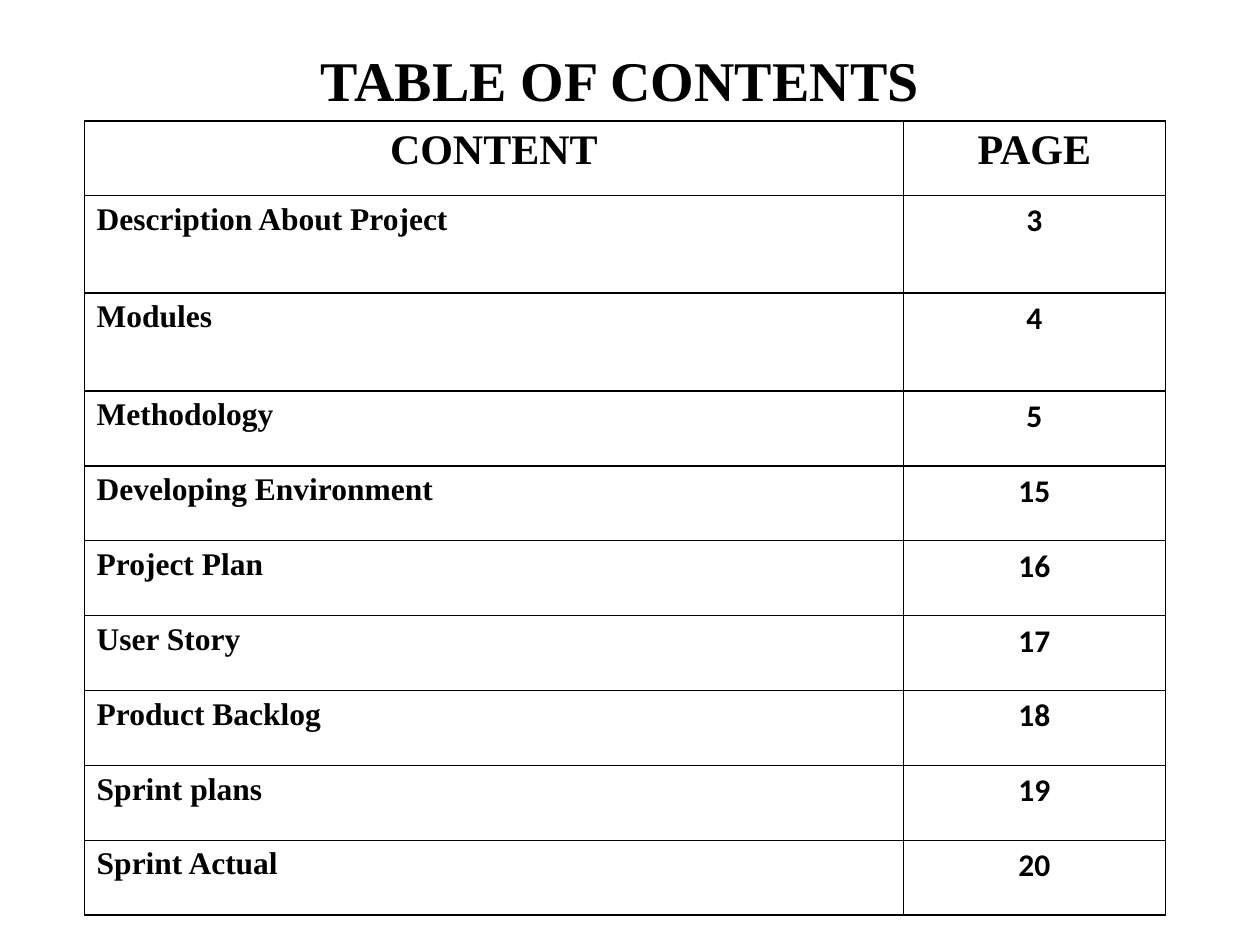
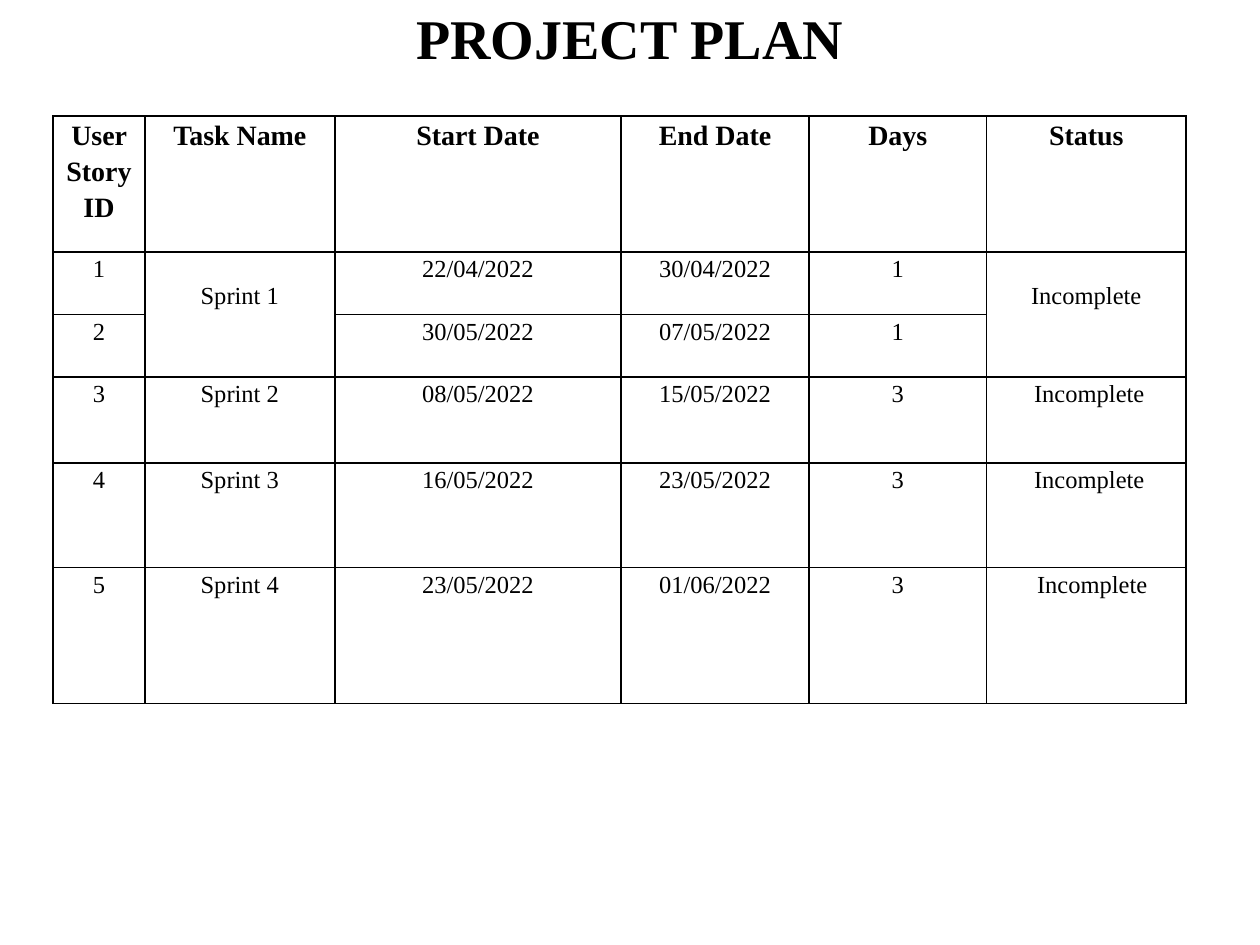
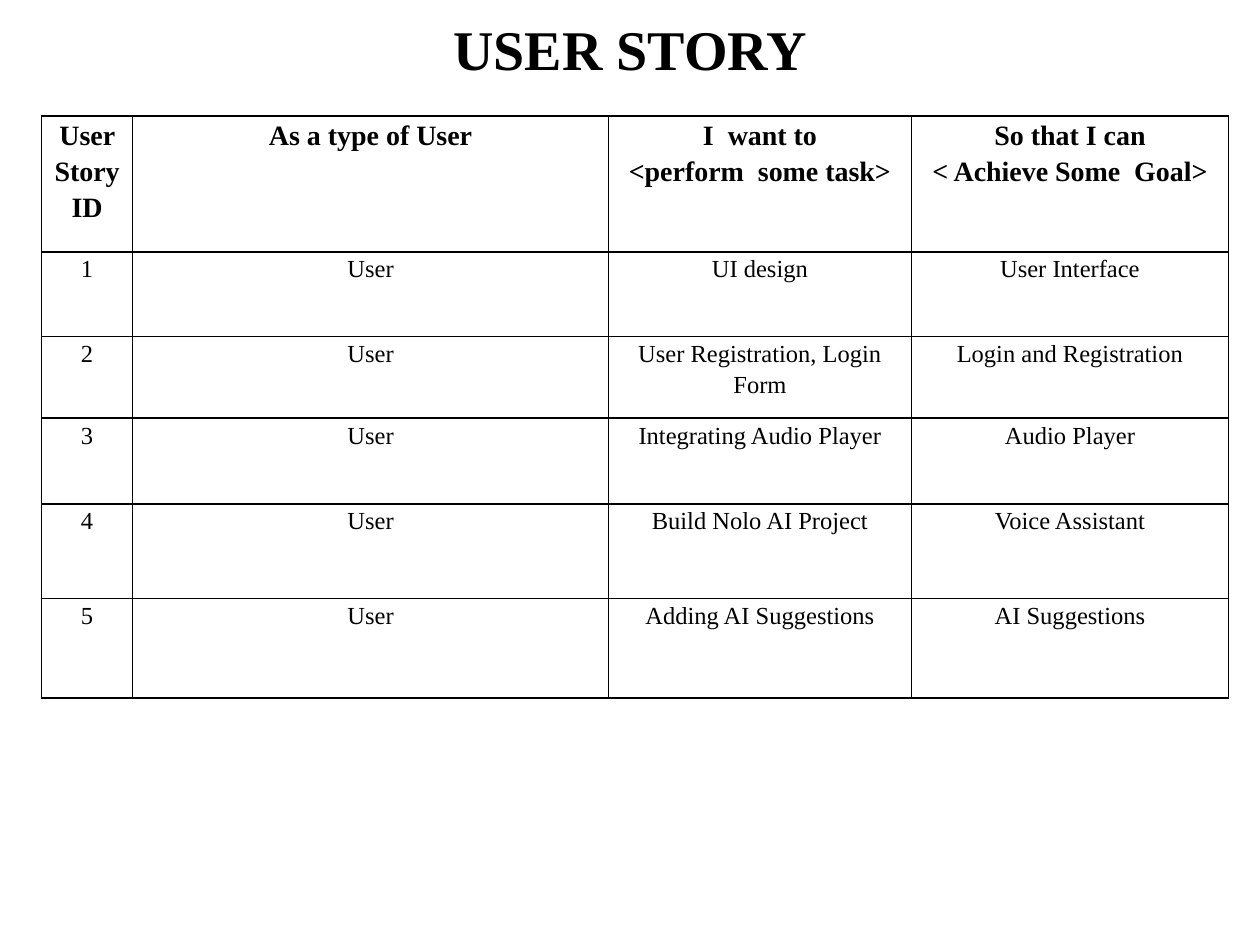
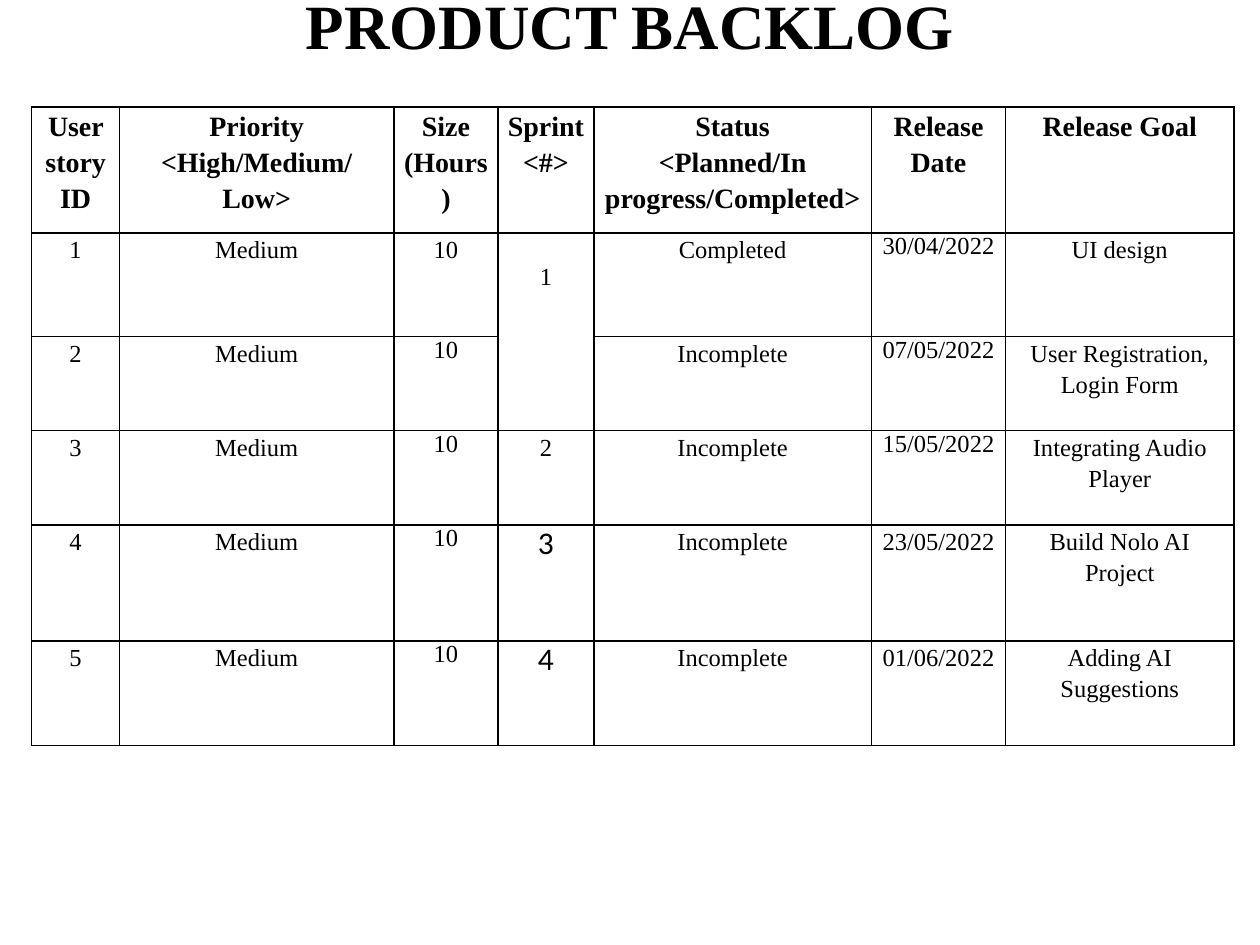
from dataclasses import dataclass
from itertools import product

from lxml import etree
from pptx import Presentation
from pptx.dml.color import RGBColor
from pptx.enum.text import MSO_ANCHOR, PP_ALIGN
from pptx.oxml.ns import qn
from pptx.util import Cm, Pt

LEFT, CENTER = PP_ALIGN.LEFT, PP_ALIGN.CENTER
MIDDLE = MSO_ANCHOR.MIDDLE
TITLE_ONLY = 5


@dataclass(frozen=True)
class Theme:
    ink: str = "000000"
    serif: str = "Times New Roman"
    sans: str = "Calibri"
    title: int = 32
    big_title: int = 36
    contents_head: int = 24
    head: int = 16
    body: int = 14
    number: int = 18
    border: int = 1


THEME = Theme()

# Content: None in a row continues the cell above it
CONTENTS = [
    ("CONTENT", "PAGE"),
    ("Description About Project", "3"),
    ("Modules", "4"),
    ("Methodology", "5"),
    ("Developing Environment", "15"),
    ("Project Plan", "16"),
    ("User Story", "17"),
    ("Product Backlog", "18"),
    ("Sprint plans", "19"),
    ("Sprint Actual", "20"),
]

PLAN = [
    ("User Story ID", "Task Name", "Start Date", "End Date", "Days", "Status"),
    ("1", "Sprint 1", "22/04/2022", "30/04/2022", "1", "Incomplete"),
    ("2", None, "30/05/2022", "07/05/2022", "1", None),
    ("3", "Sprint 2", "08/05/2022", "15/05/2022", "3", "Incomplete"),
    ("4", "Sprint 3", "16/05/2022", "23/05/2022", "3", "Incomplete"),
    ("5", "Sprint 4", "23/05/2022", "01/06/2022", "3", "Incomplete"),
]

STORIES = [
    ("User Story ID", "As a type of User", "I  want to\n<perform  some task>",
     "So that I can\n< Achieve Some  Goal>"),
    ("1", "User", "UI design", "User Interface"),
    ("2", "User", "User Registration, Login Form", "Login and Registration"),
    ("3", "User", "Integrating Audio Player", "Audio Player"),
    ("4", "User", "Build Nolo AI Project", "Voice Assistant"),
    ("5", "User", "Adding AI Suggestions", "AI Suggestions"),
]

BACKLOG = [
    ("User story ID", "Priority\n<High/Medium/Low>", "Size\n(Hours)", "Sprint\n<#>",
     "Status\n<Planned/In progress/Completed>", "Release\nDate", "Release Goal"),
    ("1", "Medium", "10", "1", "Completed", "30/04/2022", "UI design"),
    ("2", "Medium", "10", None, "Incomplete", "07/05/2022", "User Registration, Login Form"),
    ("3", "Medium", "10", "2", "Incomplete", "15/05/2022", "Integrating Audio Player"),
    ("4", "Medium", "10", "3", "Incomplete", "23/05/2022", "Build Nolo AI Project"),
    ("5", "Medium", "10", "4", "Incomplete", "01/06/2022", "Adding AI Suggestions"),
]

# Cell styles that depart from the table's own, by (row, column)
PAGE_NUMBERS = {(r, 1): dict(font=THEME.sans, align=CENTER) for r in range(1, len(CONTENTS))}
STATUS_SHIFTS = {(3, 5): dict(shift=0.12), (4, 5): dict(shift=0.12), (5, 5): dict(shift=0.24)}
SINGLE_SPACED = {cell: dict(spacing=1.0)
                 for cell in [(r, 2) for r in range(2, 6)] + [(r, 5) for r in range(1, 4)]}
SPRINT_NUMBERS = {(r, 3): dict(font=THEME.sans, size=THEME.number, spacing=1.0) for r in (4, 5)}

# Lengths in cm
MERGED_TOP = 0.54
GRID = dict(head=dict(size=THEME.head, bold=True, spacing=1.15),
            body=dict(size=THEME.body, spacing=1.15), inset=(0.18, 0))

SLIDES = [
    dict(title="TABLE OF CONTENTS", title_box=(1.07, 0, 22.86, 3.18), rows=CONTENTS,
         at=(1.7, 2.44), widths=(16.51, 5.28), heights=[1.5] + [1.97] * 2 + [1.51] * 7,
         head=dict(size=THEME.contents_head, bold=True),
         body=dict(size=THEME.number, bold=True, align=LEFT),
         inset=(0.25, 0.13), special=PAGE_NUMBERS),
    dict(GRID, title="PROJECT PLAN", title_box=(1.27, -0.84, 22.86, 3.18), rows=PLAN,
         at=(1.07, 2.34), widths=(1.85, 3.83, 5.77, 3.79, 3.58, 4.02),
         heights=(2.74, 1.26, 1.26, 1.73, 2.11, 2.74), special=STATUS_SHIFTS),
    dict(GRID, title="USER STORY", title_box=(1.27, -0.2, 22.86, 2.34), rows=STORIES,
         at=(0.84, 2.34), widths=(1.83, 9.6, 6.1, 6.4),
         heights=(2.74, 1.7, 1.65, 1.73, 1.9, 2.01)),
    dict(GRID, title="PRODUCT BACKLOG", title_box=(1.27, -0.71, 22.86, 2.41), rows=BACKLOG,
         title_size=THEME.big_title, at=(0.64, 2.16),
         widths=(1.77, 5.53, 2.1, 1.93, 5.6, 2.7, 4.61),
         heights=(2.54, 2.08, 1.9, 1.9, 2.34, 2.11), inset=(0.15, 0),
         special={**SINGLE_SPACED, **SPRINT_NUMBERS}),
]


def style_paragraph(p, size, font=THEME.serif, bold=False, align=CENTER, spacing=None):
    p.alignment = align
    p.line_spacing = spacing
    p.font.size = Pt(size)
    p.font.name = font
    p.font.bold = bold
    p.font.color.rgb = RGBColor.from_string(THEME.ink)


def add_title(slide, text, box, size):
    sp = slide.shapes.title
    sp.left, sp.top, sp.width, sp.height = map(Cm, box)
    tf = sp.text_frame
    tf.text = text
    tf.vertical_anchor = MIDDLE
    style_paragraph(tf.paragraphs[0], size, bold=True)


def set_borders(cell):
    tc_pr = cell._tc.get_or_add_tcPr()
    for side in ("lnL", "lnR", "lnT", "lnB"):
        ln = etree.SubElement(tc_pr, qn(f"a:{side}"), w=str(Pt(THEME.border)))
        fill = etree.SubElement(ln, qn("a:solidFill"))
        etree.SubElement(fill, qn("a:srgbClr"), val=THEME.ink)


def fill_cell(cell, text, inset, shift=0, **style):
    side, top = inset
    cell.margin_left, cell.margin_right = Cm(side + shift), Cm(side)
    cell.margin_top, cell.margin_bottom = Cm(top), Cm(top)
    cell.text = text
    for p in cell.text_frame.paragraphs:
        style_paragraph(p, **style)


def add_grid(slide, rows, at, widths, heights, head, body, inset, special=None):
    special = special or {}
    frame = slide.shapes.add_table(len(rows), len(widths), *map(Cm, at),
                                   Cm(sum(widths)), Cm(sum(heights)))
    table = frame.table
    table.first_row = table.horz_banding = False
    for column, width in zip(table.columns, widths):
        column.width = Cm(width)
    for row, height in zip(table.rows, heights):
        row.height = Cm(height)

    for r, c in product(range(len(rows)), range(len(widths))):
        cell = table.cell(r, c)
        set_borders(cell)
        cell.fill.background()
        if rows[r][c] is None:
            above = table.cell(r - 1, c)
            above.merge(cell)
            above.margin_top = Cm(MERGED_TOP)
        else:
            style = {**(body if r else head), **special.get((r, c), {})}
            fill_cell(cell, rows[r][c], inset, **style)


def main():
    prs = Presentation()
    prs.slide_width, prs.slide_height = Cm(25.4), Cm(19.05)
    for content in SLIDES:
        slide = prs.slides.add_slide(prs.slide_layouts[TITLE_ONLY])
        grid = dict(content)
        add_title(slide, grid.pop("title"), grid.pop("title_box"),
                  grid.pop("title_size", THEME.title))
        add_grid(slide, **grid)
    prs.save("out.pptx")


if __name__ == "__main__":
    main()
